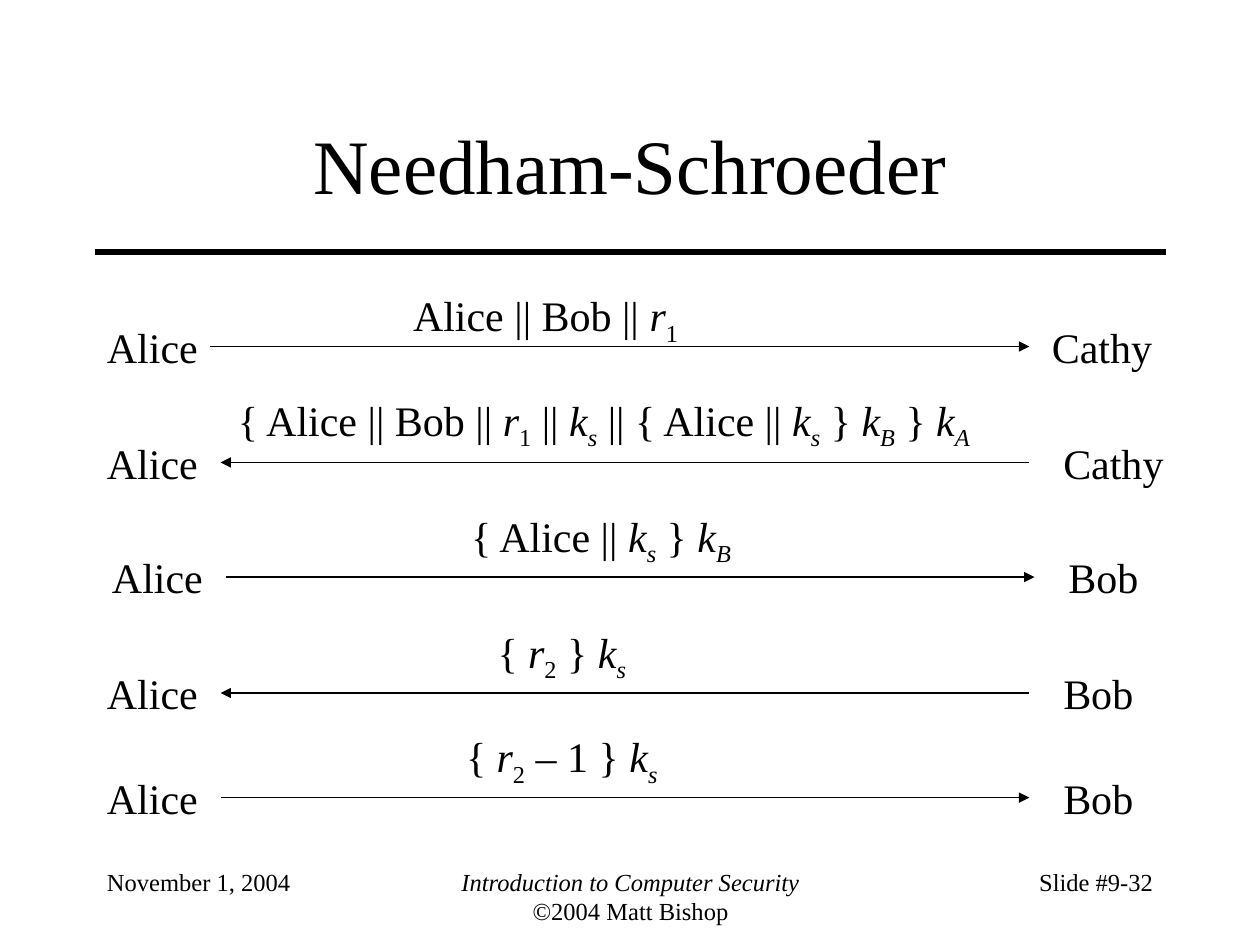
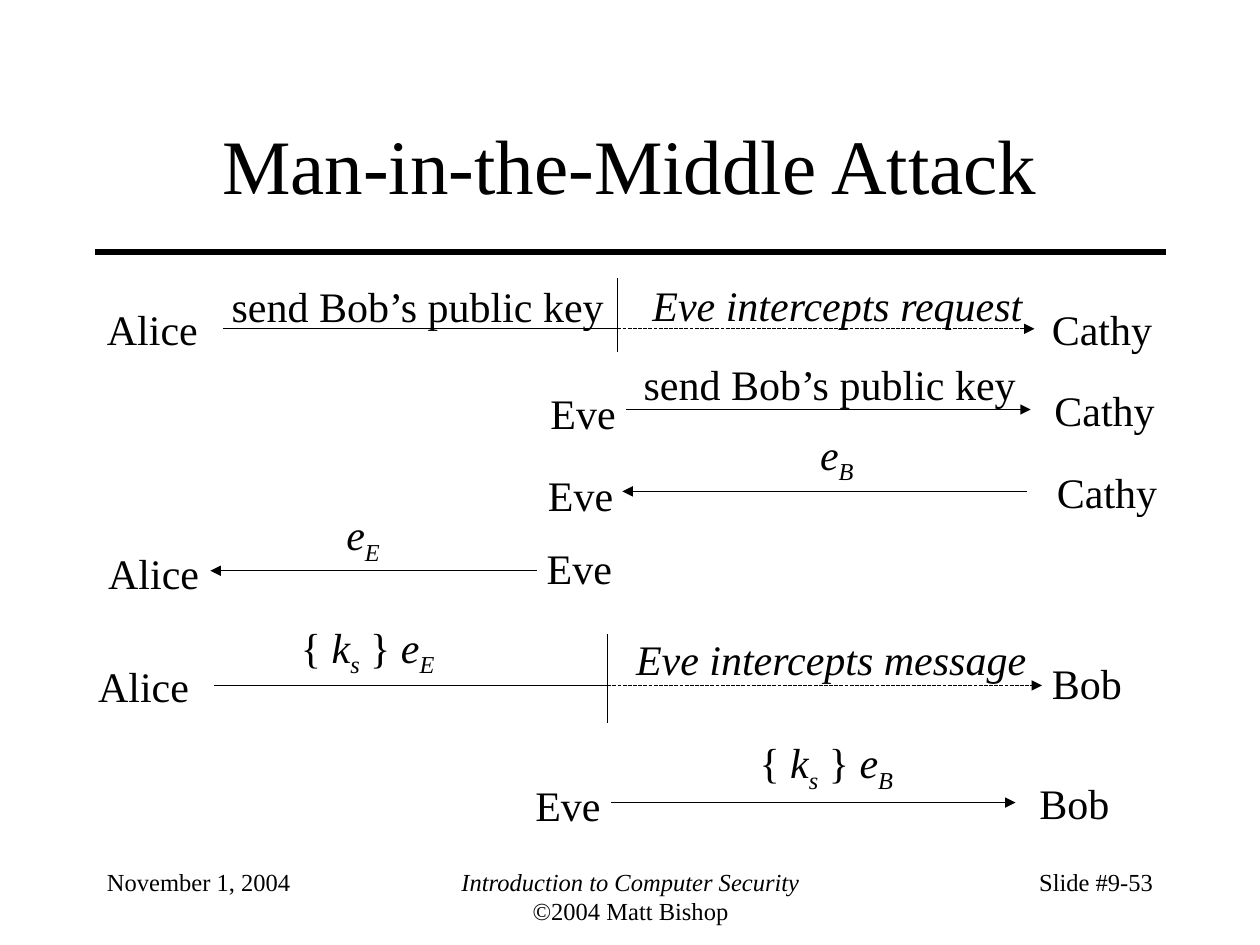
import dataclasses

import lxml.etree
import pptx
import pptx.dml.color
import pptx.enum.dml
import pptx.enum.shapes
import pptx.enum.text
import pptx.oxml.ns
import pptx.util

Inches = pptx.util.Inches
Align = pptx.enum.text.PP_ALIGN
Anchor = pptx.enum.text.MSO_ANCHOR
Fit = pptx.enum.text.MSO_AUTO_SIZE
DASH = pptx.enum.dml.MSO_LINE.SQUARE_DOT


@dataclasses.dataclass(frozen=True)
class Theme:
    ink: str = "000000"
    paper: str = "FFFFFF"
    font: str = "Times New Roman"
    title: float = 44
    body: float = 24
    foot: float = 14
    thin: float = 0.75
    thick: float = 3
    slack: float = 0.06


WIDTHS = {"Alice": 0.92, "Bob": 0.75, "Cathy": 0.99, "Eve": 0.72}


def split(text):
    """Yield (text, italic, lowered) pieces; "k_s" is variable k with subscript s."""
    parts = text.split("_")
    for n, part in enumerate(parts):
        if n:
            yield part[0], part[0].isalpha(), True
            part = part[1:]
        if n < len(parts) - 1:
            if part[:-1]:
                yield part[:-1], False, False
            yield part[-1], True, False
        elif part:
            yield part, False, False


class Deck:
    def __init__(self, theme):
        self.theme = theme
        self.file = pptx.Presentation()
        self.file.slide_width = Inches(10)
        self.file.slide_height = Inches(7.5)
        self.slide = None

    def color(self, code):
        return pptx.dml.color.RGBColor.from_string(code)

    def start(self, title, number):
        """Open a slide with its title, rule and footer."""
        look = self.theme
        self.slide = self.file.slides.add_slide(self.file.slide_layouts[6])
        fill = self.slide.background.fill
        fill.solid()
        fill.fore_color.rgb = self.color(look.paper)
        self.line((0.75, 2), (9.25, 2), weight=look.thick)
        self.text("November 1, 2004", 0.75, 6.83, 2.08, size=look.foot)
        note = self.text("Introduction to Computer Security\n©2004 Matt Bishop",
                         3.42, 6.83, 3.17, size=look.foot, align=Align.CENTER)
        note.paragraphs[0].runs[0].font.italic = True
        self.text(f"Slide #{number}", 7.17, 6.83, 2.08, size=look.foot,
                  align=Align.RIGHT)
        head = self.text(title, 0.75, 0.67, 8.5, 1.25, look.title, Align.CENTER)
        head.vertical_anchor = Anchor.MIDDLE

    def style(self, run, size):
        run.font.name = self.theme.font
        run.font.size = pptx.util.Pt(size)
        run.font.color.rgb = self.color(self.theme.ink)

    def text(self, words, left, top, width, height=0.5, size=None, align=Align.LEFT):
        box = self.slide.shapes.add_textbox(
            Inches(left), Inches(top), Inches(width), Inches(height))
        frame = box.text_frame
        frame.word_wrap = True
        frame.text = words
        for para in frame.paragraphs:
            para.alignment = align
            for run in para.runs:
                self.style(run, size or self.theme.body)
        return frame

    def single(self, words, left, top, width, height=0.5):
        """Add a box that keeps its text on one line."""
        frame = self.text(words, left, top, width + self.theme.slack, height)
        frame.word_wrap = False
        frame.auto_size = Fit.SHAPE_TO_FIT_TEXT
        return frame

    def label(self, words, left, top, width=None, italic=False):
        frame = self.single(words, left, top, width or WIDTHS[words])
        frame.paragraphs[0].runs[0].font.italic = italic

    def formula(self, code, left, top, width):
        frame = self.single("", left, top, width, 0.56)
        for piece, italic, low in split(code):
            run = frame.paragraphs[0].add_run()
            run.text = piece
            self.style(run, self.theme.body)
            run.font.italic = italic
            if low:
                run.font._element.set("baseline", "-25000")

    def line(self, start, end, tip=None, dash=None, weight=None):
        """Draw a line; tip is "head" for an arrow at start, "tail" at end."""
        link = self.slide.shapes.add_connector(
            pptx.enum.shapes.MSO_CONNECTOR.STRAIGHT,
            *(Inches(value) for value in (*start, *end)))
        link.line.color.rgb = self.color(self.theme.ink)
        link.line.width = pptx.util.Pt(weight or self.theme.thin)
        if dash:
            link.line.dash_style = dash
        name = pptx.oxml.ns.qn
        props = link._element.spPr
        if tip:
            lxml.etree.SubElement(props.find(name("a:ln")), name(f"a:{tip}End"),
                                  type="triangle")
        lxml.etree.SubElement(props, name("a:effectLst"))

    def arrow(self, left, right, y, tip="tail", dash=None):
        self.line((left, y), (right, y), tip, dash)


def protocol(deck):
    deck.start("Needham-Schroeder", "9-32")
    # y, Alice x, arrow span, tip, peer, peer x, message, its x, top and width
    steps = [
        (2.75, 0.75, 1.67, 8.17, "tail", "Cathy", 8.25,
         "Alice || Bob || r_1", 3.18, 2.25, 2.3),
        (3.67, 0.75, 1.75, 8.17, "head", "Cathy", 8.34,
         "{ Alice || Bob || r_1 || k_s || { Alice || k_s } k_B } k_A",
         1.79, 3.08, 6.04),
        (4.58, 0.79, 1.79, 8.21, "tail", "Bob", 8.38,
         "{ Alice || k_s } k_B", 3.64, 4, 2.28),
        (5.5, 0.75, 1.75, 8.17, "head", "Bob", 8.34,
         "{ r_2 } k_s", 3.85, 4.92, 1.22),
        (6.33, 0.75, 1.75, 8.17, "tail", "Bob", 8.34,
         "{ r_2 – 1 } k_s", 3.6, 5.75, 1.72),
    ]
    for y, home, left, right, tip, peer, far, code, x, top, width in steps:
        deck.label("Alice", home, y - 0.25)
        deck.arrow(left, right, y, tip)
        deck.label(peer, far, y - 0.25)
        deck.formula(code, x, top, width)


def attack(deck):
    deck.start("Man-in-the-Middle Attack", "9-53")
    names = [
        ("Alice", 0.75, 2.36), ("Cathy", 8.25, 2.36),
        ("Eve", 4.27, 3.03), ("Cathy", 8.27, 3),
        ("Eve", 4.25, 3.68), ("Cathy", 8.29, 3.65),
        ("Alice", 0.76, 4.3), ("Eve", 4.24, 4.26),
        ("Alice", 0.68, 5.19), ("Bob", 8.25, 5.17),
        ("Eve", 4.15, 6.14), ("Bob", 8.15, 6.12),
    ]
    for name, left, top in names:
        deck.label(name, left, top)

    arrows = [(4.97, 8.18, 3.25, "tail"), (4.94, 8.15, 3.9, "head"),
              (1.67, 4.26, 4.53, "head"), (4.85, 8.06, 6.37, "tail")]
    for span in arrows:
        deck.arrow(*span)

    # Sent part, blocking bar, and the dashed part that Eve cuts off
    cuts = [(1.77, 4.9, 8.21, 2.61, 2.21, 2.79),
            (1.7, 4.82, 8.27, 5.44, 5.03, 5.74)]
    for left, bar, right, y, top, base in cuts:
        deck.arrow(left, bar, y, tip=None)
        deck.arrow(bar, right, y, dash=DASH)
        deck.line((bar, top), (bar, base))

    for left, top in ((1.74, 2.18), (5.01, 2.8)):
        deck.label("send Bob’s public key", left, top, 3.17)
    deck.label("Eve intercepts request", 5.08, 2.17, 3.16, italic=True)
    deck.label("Eve intercepts message", 4.95, 4.98, 3.34, italic=True)

    codes = [("e_B", 6.41, 3.35, 0.46), ("e_E", 2.65, 3.99, 0.46),
             ("{ k_s } e_E", 2.29, 4.88, 1.26), ("{ k_s } e_B", 5.93, 5.8, 1.26)]
    for code in codes:
        deck.formula(*code)


def main():
    deck = Deck(Theme())
    protocol(deck)
    attack(deck)
    deck.file.save("out.pptx")


if __name__ == "__main__":
    main()
